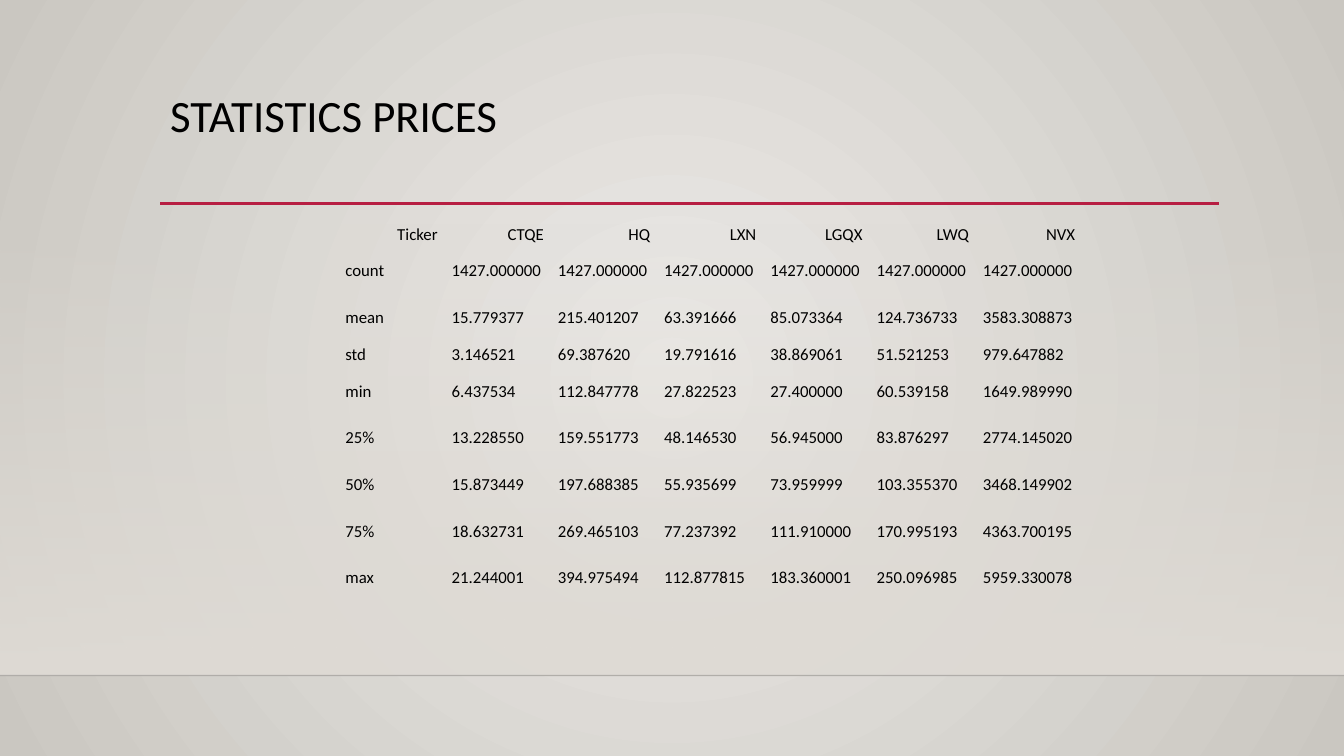
from pptx import Presentation
from pptx.dml.color import RGBColor
from pptx.enum.shapes import MSO_CONNECTOR as Connector, MSO_SHAPE as Shape
from pptx.enum.text import MSO_ANCHOR as Anchor, PP_ALIGN as Align
from pptx.oxml import parse_xml
from pptx.oxml.ns import nsdecls, qn
from pptx.util import Pt

FONT = "Calibri"
NO_GRID_STYLE = "{2D5ABB26-0587-4C30-8999-92F81FD0307C}"


def rgb(value):
    return RGBColor.from_string(value)


def set_gradient(element, stops, direction):
    """Swap the first solid fill in element for a gradient of (place, colour, alpha) stops."""
    solid = element.find(".//" + qn("a:solidFill"))
    marks = "".join(
        f'<a:gs pos="{place * 1000}"><a:srgbClr val="{colour}">'
        f'<a:alpha val="{alpha * 1000}"/></a:srgbClr></a:gs>'
        for place, colour, alpha in stops)
    solid.getparent().replace(solid, parse_xml(
        f'<a:gradFill {nsdecls("a")} rotWithShape="1"><a:gsLst>{marks}</a:gsLst>'
        f'{direction}</a:gradFill>'))


deck = Presentation()
deck.slide_width, deck.slide_height = Pt(960), Pt(540)
page = deck.slides.add_slide(deck.slide_layouts[6])

# Background: light centre fading outwards
page.background.fill.solid()
set_gradient(page.element, [(0, "ECEAE7", 100), (100, "CAC7C1", 100)],
             '<a:path path="circle"><a:fillToRect l="50000" t="50000" r="50000" b="50000"/></a:path>')

# Wall that fades in towards the floor
wall = page.shapes.add_shape(Shape.RECTANGLE, Pt(0), Pt(159), Pt(960), Pt(323.5))
wall.shadow.inherit = False
wall.line.fill.background()
wall.fill.solid()
set_gradient(wall.element, [(0, "DFDBD5", 0), (100, "DFDBD5", 100)],
             '<a:lin ang="5400000" scaled="0"/>')

# Floor line and title rule
for left, right, top, colour, weight, alpha in [
        (0, 960, 482.5, "000001", 1, 20),
        (114.5, 871, 145.3, "B71E42", 2.5, 100)]:
    rule = page.shapes.add_connector(Connector.STRAIGHT, Pt(left), Pt(top), Pt(right), Pt(top))
    rule.line.width = Pt(weight)
    rule.line.color.rgb = rgb(colour)
    tint = rule.element.spPr.find(".//" + qn("a:srgbClr"))
    tint.append(parse_xml(f'<a:alpha {nsdecls("a")} val="{alpha * 1000}"/>'))
    rule.element.spPr.append(parse_xml(f'<a:effectLst {nsdecls("a")}/>'))

# Title
box = page.shapes.add_textbox(Pt(114.5), Pt(63.3), Pt(756), Pt(82.5))
box.text_frame.word_wrap = True
para = box.text_frame.paragraphs[0]
para.line_spacing = 0.9
span = para.add_run()
span.text = "STATISTICS PRICES"
span.font.name, span.font.size = FONT, Pt(32)
span.font.color.rgb = rgb("000000")

# Statistics table
rows = [
    ["Ticker", "CTQE", "HQ", "LXN", "LGQX", "LWQ", "NVX"],
    ["count"] + ["1427.000000"] * 6,
    ["mean", "15.779377", "215.401207", "63.391666", "85.073364", "124.736733", "3583.308873"],
    ["std", "3.146521", "69.387620", "19.791616", "38.869061", "51.521253", "979.647882"],
    ["min", "6.437534", "112.847778", "27.822523", "27.400000", "60.539158", "1649.989990"],
    ["25%", "13.228550", "159.551773", "48.146530", "56.945000", "83.876297", "2774.145020"],
    ["50%", "15.873449", "197.688385", "55.935699", "73.959999", "103.355370", "3468.149902"],
    ["75%", "18.632731", "269.465103", "77.237392", "111.910000", "170.995193", "4363.700195"],
    ["max", "21.244001", "394.975494", "112.877815", "183.360001", "250.096985", "5959.330078"],
]
frame = page.shapes.add_table(len(rows), len(rows[0]), Pt(241.7), Pt(157.7), Pt(531.3), Pt(271.4))
table = frame.table
table.first_row = table.horz_banding = False
frame.element.find(".//" + qn("a:tableStyleId")).text = NO_GRID_STYLE
for column in table.columns:
    column.width = Pt(75.9)

for r, values in enumerate(rows):
    table.rows[r].height = Pt(18.7 if values[0] in ("Ticker", "std") else 33.3)
    for c, value in enumerate(values):
        cell = table.cell(r, c)
        cell.fill.background()
        cell.vertical_anchor = Anchor.MIDDLE
        cell.margin_left = cell.margin_right = Pt(5)
        cell.margin_top = cell.margin_bottom = Pt(2.5)
        para = cell.text_frame.paragraphs[0]
        para.alignment = Align.RIGHT if r == 0 else Align.LEFT
        span = para.add_run()
        span.text = value
        span.font.name, span.font.size = FONT, Pt(12)
        span.font.color.rgb = rgb("000000")

deck.save("out.pptx")
